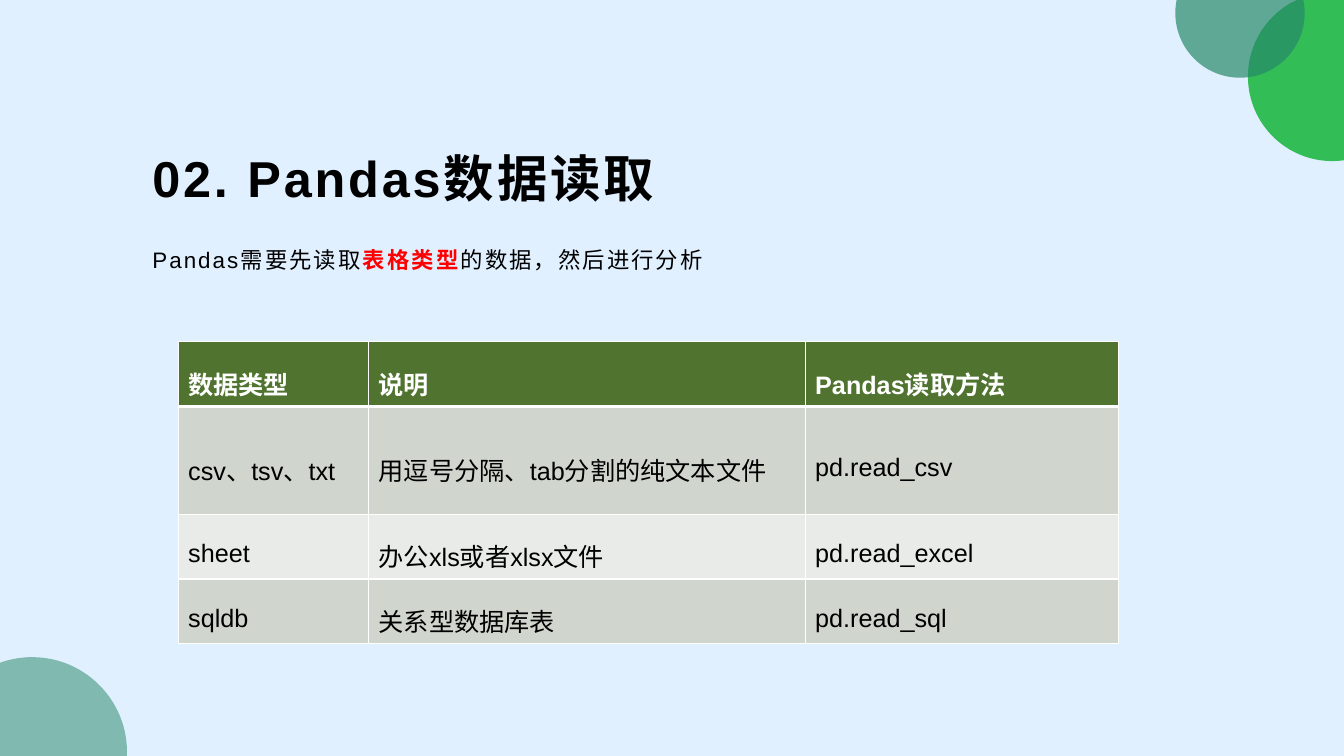
from dataclasses import dataclass
from math import cos, radians, sin, tan

from lxml.etree import SubElement as Sub
from pptx import Presentation
from pptx.dml.color import RGBColor as Rgb
from pptx.enum.lang import MSO_LANGUAGE_ID as Lang
from pptx.enum.text import MSO_ANCHOR as Anchor
from pptx.oxml.ns import qn
from pptx.util import Cm, Pt


@dataclass(frozen=True)
class Theme:
    """Colours, font and type sizes of the slide."""
    font: str = "Arial"
    sky: str = "E1F0FF"
    ink: str = "000000"
    white: str = "FFFFFF"
    red: str = "FF0000"
    green: str = "33BD56"
    teal: str = "268868"
    head: str = "50742F"
    bands: tuple = ("D0D6CD", "E9EBE8")
    title: int = 36
    body: int = 16
    cell: int = 18


class Deck:
    """Draws styled elements on the current slide."""

    def __init__(self, theme, wide, high):
        """Open a deck of the given size in centimetres."""
        self.theme = theme
        self.prs = Presentation()
        self.prs.slide_width, self.prs.slide_height = Cm(wide), Cm(high)

    def page(self):
        """Start a blank slide."""
        self.slide = self.prs.slides.add_slide(self.prs.slide_layouts[6])
        self.paint(self.slide.background.fill, self.theme.sky)

    def paint(self, fill, color):
        """Apply a solid colour."""
        fill.solid()
        fill.fore_color.rgb = Rgb.from_string(color)

    def disc(self, mid, rad, start, stop, color, alpha=100, corner=None):
        """Draw the part of a disc between two angles, closed at a slide corner."""
        def spot(turn, pull=0):
            a = radians(turn)
            return (Cm(mid[0] + rad * (cos(a) - pull * sin(a))),
                    Cm(mid[1] + rad * (sin(a) + pull * cos(a))))

        cuts = [start, *(q for q in range(0, 360, 90) if start < q < stop), stop]
        dots = []
        for a, b in zip(cuts, cuts[1:]):
            pull = 4 / 3 * tan(radians(b - a) / 4)
            dots += [spot(a, pull), spot(b, -pull), spot(b)]
        curved = len(dots)
        if corner:
            dots.append(tuple(map(Cm, corner)))
        pen = self.slide.shapes.build_freeform(*spot(start), scale=1.0)
        pen.add_line_segments(dots, close=True)
        disc = pen.convert_to_shape()
        lines = list(disc.element.spPr.iter(qn("a:lnTo")))[:curved]
        for i in range(0, curved, 3):
            curve = lines[i].makeelement(qn("a:cubicBezTo"))
            lines[i].addprevious(curve)
            for line in lines[i:i + 3]:
                curve.append(line[0])
                line.getparent().remove(line)
        disc.shadow.inherit = False
        disc.line.fill.background()
        self.paint(disc.fill, color)
        if alpha < 100:
            tint = next(disc.element.spPr.iter(qn("a:srgbClr")))
            Sub(tint, qn("a:alpha"), val=str(alpha * 1000))

    def run(self, para, text, size, color, bold=False, gap=0):
        """Add one styled run."""
        run = para.add_run()
        run.text = text
        font = run.font
        font.name, font.size, font.bold = self.theme.font, Pt(size), bold
        font.color.rgb = Rgb.from_string(color)
        font.language_id = Lang.SIMPLIFIED_CHINESE
        if gap:
            run.font._element.set("spc", str(int(gap * 100)))

    def text(self, box, pad, runs, size, gap, anchor=Anchor.TOP, lead=1.0, after=0):
        """Add a text box with one paragraph of runs."""
        frame = self.slide.shapes.add_textbox(*map(Cm, box)).text_frame
        frame.word_wrap = True
        frame.vertical_anchor = anchor
        (frame.margin_left, frame.margin_top,
         frame.margin_right, frame.margin_bottom) = map(Cm, pad)
        para = frame.paragraphs[0]
        para.line_spacing, para.space_after = lead, Pt(after)
        for words, color, bold in runs:
            self.run(para, words, size, color, bold, gap)

    def edge(self, cell, side, width):
        """Draw one white cell border."""
        line = Sub(cell._tc.get_or_add_tcPr(), qn("a:ln" + side), w=str(Pt(width)))
        Sub(Sub(line, qn("a:solidFill")), qn("a:srgbClr"), val=self.theme.white)

    def table(self, left, top, cols, highs, rows):
        """Add a banded table whose first row is the header."""
        look = self.theme
        grid = self.slide.shapes.add_table(
            len(rows), len(cols), Cm(left), Cm(top),
            Cm(sum(cols)), Cm(sum(highs))).table
        for col, wide in zip(grid.columns, cols):
            col.width = Cm(wide)
        for i, (row, high) in enumerate(zip(rows, highs)):
            grid.rows[i].height = Cm(high)
            head = i == 0
            for j, words in enumerate(row):
                cell = grid.cell(i, j)
                cell.vertical_anchor = Anchor.MIDDLE
                for side in "LRTB":
                    thick = (i, side) in ((0, "B"), (1, "T"))
                    self.edge(cell, side, 3 if thick else 1)
                self.paint(cell.fill, look.head if head else look.bands[(i - 1) % 2])
                para = cell.text_frame.paragraphs[0]
                para.line_spacing = 1.5
                self.run(para, words, look.cell, look.white if head else look.ink, head)


def main():
    """Build and save the slide."""
    look = Theme()
    wide, high = 33.87, 19.05
    deck = Deck(look, wide, high)
    deck.page()
    deck.disc((33.58, 1.93), 2.13, 82.17, 244.97, look.green, corner=(wide, 0))
    deck.disc((31.25, 0.33), 1.63, -11.68, 191.68, look.teal, 69)
    deck.disc((0.81, 18.95), 2.39, 250.19, 362.4, look.teal, 52, (0, high))
    deck.text((3.56, 3.48, 26.75, 2), (0.28, 0.1, 0.2, 0.1),
              [("02. Pandas数据读取", look.ink, True)],
              look.title, 2, Anchor.MIDDLE)
    deck.text((3.56, 6, 26.75, 3.81), (0.28, 0, 0.23, 0),
              [("Pandas需要先读取", look.ink, False),
               ("表格类型", look.red, True),
               ("的数据，然后进行分析", look.ink, False)],
              look.body, 1.5, lead=1.3, after=10)
    deck.table(4.49, 8.61, (4.8, 11, 7.9), (1.63, 2.72, 1.63, 1.63), (
        ("数据类型", "说明", "Pandas读取方法"),
        ("csv、tsv、txt", "用逗号分隔、tab分割的纯文本文件", "pd.read_csv"),
        ("sheet", "办公xls或者xlsx文件", "pd.read_excel"),
        ("sqldb", "关系型数据库表", "pd.read_sql"),
    ))
    deck.prs.save("out.pptx")


if __name__ == "__main__":
    main()
